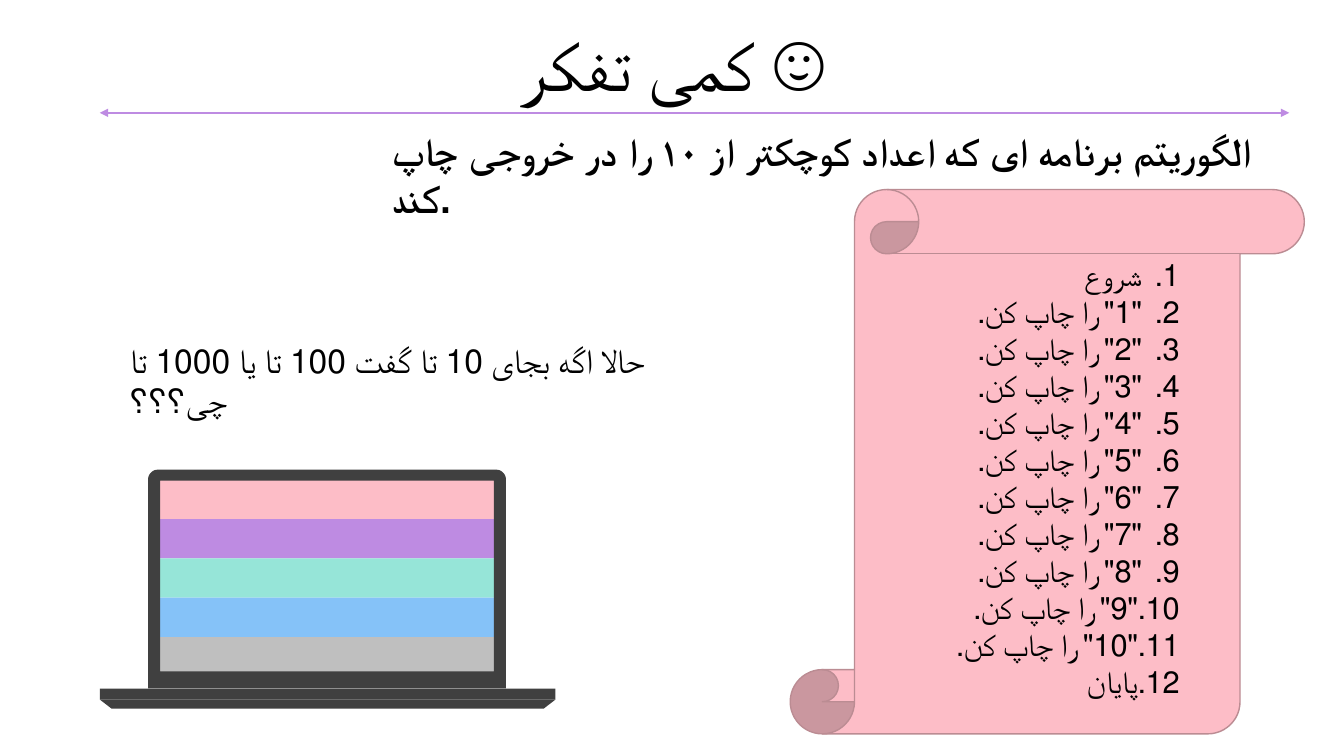
import math

from lxml import etree
from pptx import Presentation
from pptx.dml.color import RGBColor
from pptx.enum.shapes import MSO_CONNECTOR, MSO_SHAPE
from pptx.enum.text import MSO_ANCHOR, PP_ALIGN
from pptx.oxml.ns import qn
from pptx.util import Pt

STRAIGHT = MSO_CONNECTOR.STRAIGHT
RECTANGLE = MSO_SHAPE.RECTANGLE
TRAPEZOID = MSO_SHAPE.TRAPEZOID
SCROLL = MSO_SHAPE.VERTICAL_SCROLL
MIDDLE = MSO_ANCHOR.MIDDLE
CENTER = PP_ALIGN.CENTER
RIGHT = PP_ALIGN.RIGHT

BLACK = RGBColor(0x00, 0x00, 0x00)
CHARCOAL = RGBColor(0x40, 0x40, 0x40)
GRAY = RGBColor(0xBF, 0xBF, 0xBF)
BLUE = RGBColor(0x85, 0xC2, 0xF8)
MINT = RGBColor(0x96, 0xE5, 0xD8)
PURPLE = RGBColor(0xBE, 0x8B, 0xE2)
PINK = RGBColor(0xFD, 0xBD, 0xC7)
ROSE = RGBColor(0xBB, 0x8C, 0x93)

TITLE_ONLY = 5
TITLE = "کمی تفکر ☺"
TASK = "الگوریتم برنامه ای که اعداد کوچکتر از ۱۰ را در خروجی چاپ کند."
QUESTION = "حالا اگه بجای 10 تا گفت 100 تا یا 1000 تا چی؟؟؟"
STEPS = ["شروع", *(f'"{number}" را چاپ کن.' for number in range(1, 11)), "پایان"]


def write(paragraph, text, size, bold=False, align=None):
    """Put text into a paragraph and format it."""
    run = paragraph.add_run()
    run.text = text
    run.font.name = "Arial"
    run.font.size = Pt(size)
    run.font.bold = bold
    run.font.color.rgb = BLACK
    if align is not None:
        paragraph.alignment = align


def number_from_right(paragraph, margin, indent):
    """Make a paragraph a right-to-left numbered list item."""
    properties = paragraph._p.get_or_add_pPr()
    properties.set("marL", str(Pt(margin)))
    properties.set("indent", str(Pt(indent)))
    properties.set("rtl", "1")
    etree.SubElement(properties, qn("a:buFont")).set("typeface", "+mj-lt")
    etree.SubElement(properties, qn("a:buAutoNum")).set("type", "arabicPeriod")


def corner(center_x, center_y, radius, start):
    """Return the points of a quarter circle, clockwise from a start angle."""
    angles = [math.radians(start + step * 10) for step in range(10)]
    return [(center_x + radius * math.cos(angle), center_y + radius * math.sin(angle))
            for angle in angles]


class SlideBuilder:
    """Holds the current slide and the shared style."""

    def __init__(self, slide):
        """Keep the slide to draw on."""
        self.slide = slide
        self.shapes = slide.shapes

    def paint(self, shape, fill, line=None):
        """Set fill and outline, without shadow."""
        shape.shadow.inherit = False
        shape.fill.solid()
        shape.fill.fore_color.rgb = fill
        if line is None:
            shape.line.fill.background()
        else:
            shape.line.color.rgb = line
            shape.line.width = Pt(1)
        return shape

    def title(self, text, left, top, width, height):
        """Fill and place the title placeholder."""
        title = self.shapes.title
        title.left, title.top, title.width, title.height = map(Pt, (left, top, width, height))
        title.text_frame.vertical_anchor = MIDDLE
        paragraph = title.text_frame.paragraphs[0]
        paragraph.line_spacing = 0.8
        paragraph.space_before = Pt(10)
        write(paragraph, text, 50, align=CENTER)

    def text(self, text, left, top, width, height, size, bold=False):
        """Add a wrapping text box."""
        frame = self.shapes.add_textbox(*map(Pt, (left, top, width, height))).text_frame
        frame.word_wrap = True
        write(frame.paragraphs[0], text, size, bold)

    def shape(self, kind, left, top, width, height, fill, line=None):
        """Add a preset shape."""
        return self.paint(
            self.shapes.add_shape(kind, *map(Pt, (left, top, width, height))), fill, line)

    def outline(self, contours, fill):
        """Add one freeform of closed contours."""
        builder = None
        for contour in contours:
            points = [(Pt(x), Pt(y)) for x, y in contour]
            if builder is None:
                builder = self.shapes.build_freeform(*points[0])
            else:
                builder.move_to(*points[0])
            builder.add_line_segments(points[1:], close=True)
        return self.paint(builder.convert_to_shape(), fill)

    def double_arrow(self, left, right, y, color):
        """Add a horizontal line with an arrowhead at each end."""
        connector = self.shapes.add_connector(STRAIGHT, Pt(left), Pt(y), Pt(right), Pt(y))
        connector.line.color.rgb = color
        connector.line.width = Pt(1.5)
        line = connector.line._get_or_add_ln()
        for end in ("a:headEnd", "a:tailEnd"):
            etree.SubElement(line, qn(end)).set("type", "triangle")
        etree.SubElement(connector._element.spPr, qn("a:effectLst"))

    def laptop(self):
        """Draw a laptop with a striped screen as one group."""
        stripe = 28.08
        parts = [self.shape(RECTANGLE, 111.6, 342.7 + row * stripe, 249.8, stripe, color)
                 for row, color in enumerate((PINK, PURPLE, MINT, BLUE, GRAY))]
        left, top, right, bottom, radius = 105.8, 335.5, 361.4, 491.8, 7
        screen = [(114.5, 343.4), (114.5, 479.5), (352.8, 479.5), (352.8, 343.4)]
        case = [(left, bottom), *corner(left + radius, top + radius, radius, 180),
                *corner(right - radius, top + radius, radius, 270), (right, bottom)]
        parts.append(self.outline([screen, case], CHARCOAL))
        parts.append(self.shape(RECTANGLE, 71.3, 491.8, 325.4, 7.9, CHARCOAL))
        foot = self.shape(TRAPEZOID, 71.3, 499.7, 325.4, 6.5, CHARCOAL)
        foot.adjustments[0] = 1.3
        foot.rotation = 180
        self.shapes.add_group_shape(shapes=[*parts, foot])

    def scroll(self, steps, left, top, width, height):
        """Add a scroll that carries the numbered steps."""
        frame = self.shape(SCROLL, left, top, width, height, PINK, ROSE).text_frame
        frame.word_wrap = True
        frame.vertical_anchor = MIDDLE
        for index, step in enumerate(steps):
            paragraph = frame.add_paragraph() if index else frame.paragraphs[0]
            paragraph.level = 1
            write(paragraph, step, 22, align=RIGHT)
            number_from_right(paragraph, 63, -27)


presentation = Presentation()
presentation.slide_width = Pt(960)
presentation.slide_height = Pt(540)
builder = SlideBuilder(
    presentation.slides.add_slide(presentation.slide_layouts[TITLE_ONLY]))
builder.title(TITLE, 25.2, 22.3, 911.5, 56.9)
builder.laptop()
builder.text(TASK, 272.9, 87.1, 647.3, 41, 28, bold=True)
builder.double_arrow(71.3, 920.9, 80.6, PURPLE)
builder.scroll(STEPS, 564.5, 135.4, 367.2, 388.8)
builder.text(QUESTION, 85.7, 239, 437, 36, 24)
presentation.save("out.pptx")
